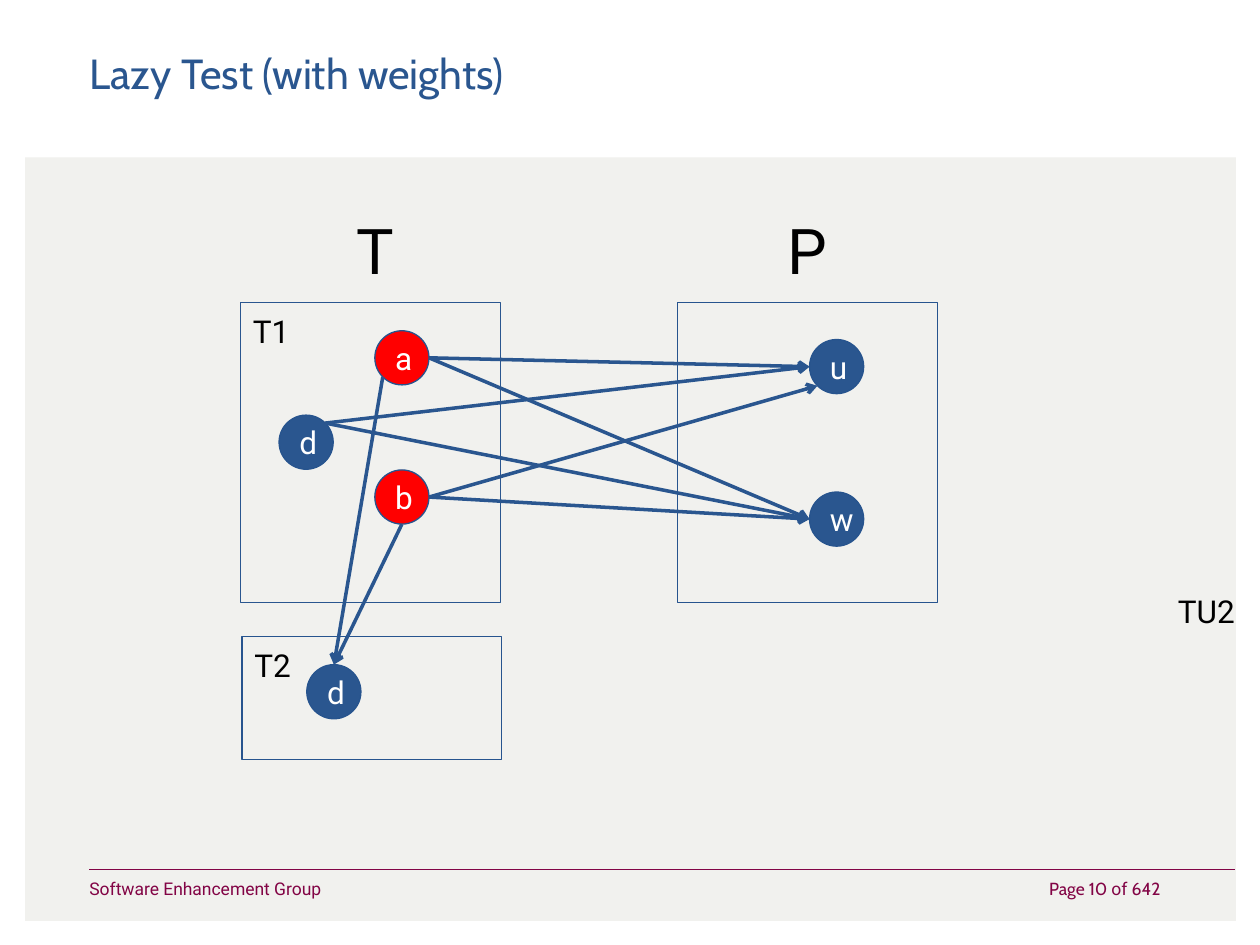
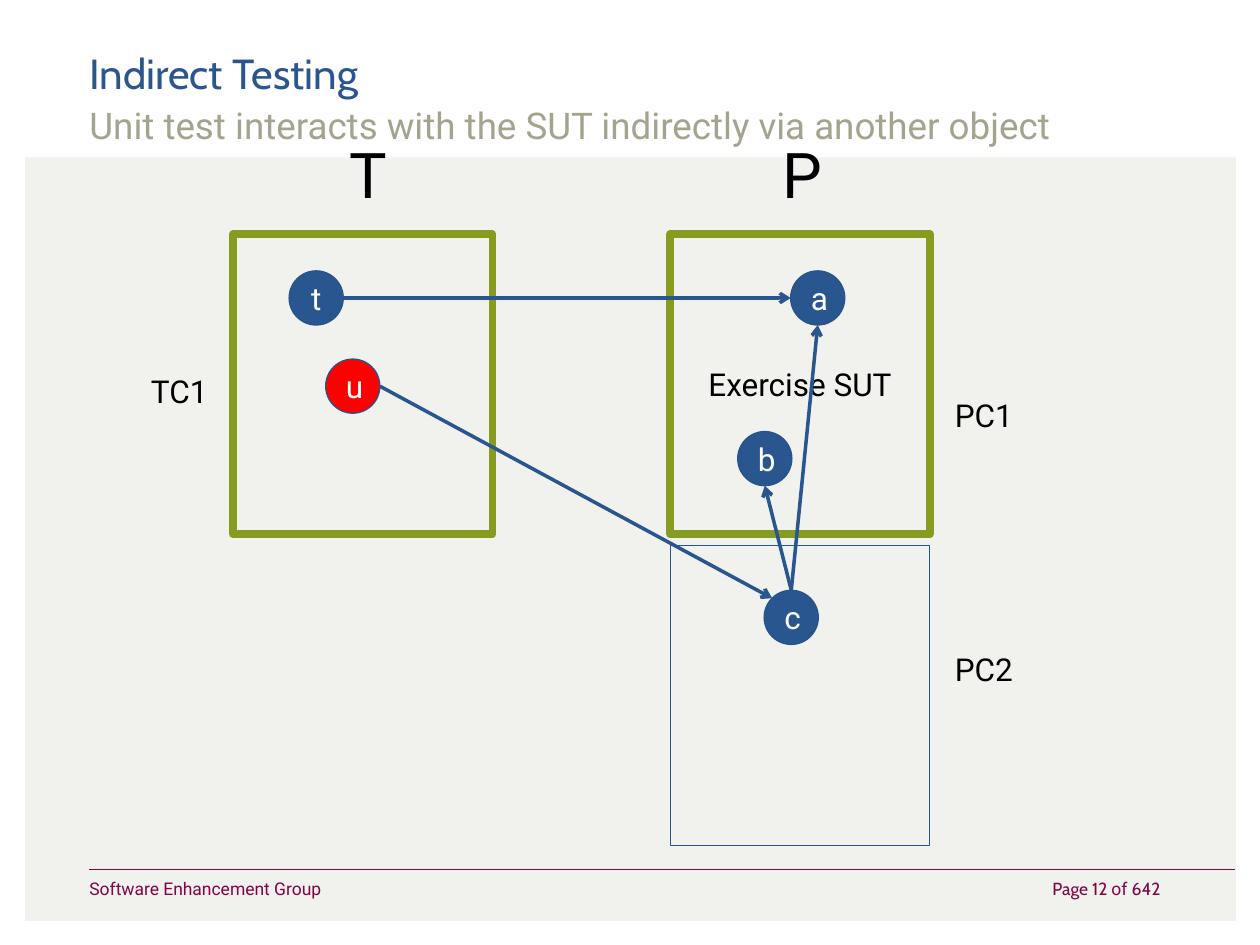
import math

import lxml.etree
import pptx
import pptx.dml.color
import pptx.enum.shapes
import pptx.enum.text
import pptx.oxml.ns
import pptx.util

RGB = pptx.dml.color.RGBColor
SHAPE = pptx.enum.shapes.MSO_SHAPE
ALIGN = pptx.enum.text.PP_ALIGN
ANCHOR = pptx.enum.text.MSO_ANCHOR
Pt = pptx.util.Pt
qn = pptx.oxml.ns.qn

BLUE = RGB(0x2A, 0x56, 0x8F)
EDGE_BLUE = RGB(0x27, 0x54, 0x8E)
RED = RGB(0xFF, 0x00, 0x00)
GREEN = RGB(0x86, 0x9C, 0x21)
MAROON = RGB(0x82, 0x04, 0x45)
TAUPE = RGB(0xA4, 0xA3, 0x8F)
PALE = RGB(0xF1, 0xF1, 0xEE)
WHITE = RGB(0xFF, 0xFF, 0xFF)
BLACK = RGB(0x00, 0x00, 0x00)
HEAD_FONT, BODY_FONT = "Cabin", "Roboto"

prs = pptx.Presentation()
prs.slide_width = pptx.util.Inches(10)
prs.slide_height = pptx.util.Inches(7.5)

# Grid: 100 columns by 75 rows
COL = prs.slide_width / 100
ROW = prs.slide_height / 75
LEFT = 7.1
BOX_W, BOX_H = 20.6, 23.8
DIAMETER = 4.3

# Direction from a circle's centre to the point where an arrow meets it
DIAG = math.sqrt(0.5)
SIDES = {"N": (0, -1), "S": (0, 1), "E": (1, 0), "W": (-1, 0),
         "NE": (DIAG, -DIAG), "NW": (-DIAG, -DIAG), "SW": (-DIAG, DIAG)}


def grid(*cells):
    """Turn alternating columns and rows into lengths."""
    return [round(n * (ROW if i % 2 else COL)) for i, n in enumerate(cells)]


def write(sp, text, size=18, color=BLACK, font=BODY_FONT, align=ALIGN.LEFT,
          anchor=ANCHOR.TOP, inset=True, wrap=True, leading=None):
    """Write a string, or a list of (string, font) runs, into a shape."""
    tf = sp.text_frame
    tf.word_wrap = wrap
    tf.auto_size = pptx.enum.text.MSO_AUTO_SIZE.NONE
    tf.vertical_anchor = anchor
    if not inset:
        tf.margin_left = tf.margin_right = tf.margin_top = tf.margin_bottom = 0
    p = tf.paragraphs[0]
    p.alignment = align
    if leading:
        p.line_spacing = Pt(leading)
    for part, face in [(text, font)] if isinstance(text, str) else text:
        r = p.add_run()
        r.text = part
        r.font.name, r.font.size, r.font.color.rgb = face, Pt(size), color


# boxes: column, row, height, line colour, line width, text
# circles: key -> letter, centre column, centre row, fill
# arrows: from circle, its side, to circle, its side
# labels: column, row, width, text
SLIDES = [
    dict(
        title="Lazy Test (with weights)", subtitle=None, page=10,
        heads=[(22.2, "T"), (56.5, "P")], head_row=16.3,
        boxes=[(19.1, 24, BOX_H, BLUE, 0.25, ""),
               (53.8, 24, BOX_H, EDGE_BLUE, 0.75, ""),
               (19.2, 50.5, 9.8, EDGE_BLUE, 0.75, "")],
        circles={"a": ("a", 31.9, 28.4, RED), "b": ("b", 31.9, 39.45, RED),
                 "u": ("u", 66.4, 29.1, BLUE), "w": ("w", 66.4, 41.2, BLUE),
                 "d1": ("d", 24.3, 35.1, BLUE), "d2": ("d", 26.5, 54.9, BLUE)},
        arrows=[("a", "E", "u", "W"), ("b", "E", "u", "SW"),
                ("b", "E", "w", "W"), ("a", "E", "w", "W"),
                ("b", "S", "d2", "N"), ("a", "SW", "d2", "N"),
                ("d1", "NE", "u", "W"), ("d1", "NE", "w", "W")],
        labels=[(19.1, 24.3, 8.4, "T1"), (19.2, 50.8, 8.4, "T2"),
                (92.5, 46.5, 7.5, "TU2")],
    ),
    dict(
        title="Indirect Testing", page=12,
        subtitle="Unit test interacts with the SUT indirectly via another object",
        heads=[(21.7, "T"), (56.1, "P")], head_row=10.3,
        boxes=[(53.2, 18.6, BOX_H, GREEN, 4.5, "Exercise SUT"),
               (18.5, 18.6, BOX_H, GREEN, 4.5, ""),
               (53.2, 43.3, BOX_H, EDGE_BLUE, 0.75, "")],
        circles={"t": ("t", 25.1, 23.65, BLUE), "u": ("u", 28, 30.65, RED),
                 "a": ("a", 64.9, 23.65, BLUE), "b": ("b", 60.7, 36.4, BLUE),
                 "c": ("c", 62.8, 49, BLUE)},
        arrows=[("t", "E", "a", "W"), ("u", "E", "c", "NW"),
                ("c", "N", "b", "S"), ("c", "N", "a", "S")],
        labels=[(11, 29, 9.3, "TC1"), (74.8, 30.9, 9.3, "PC1"),
                (74.8, 51.1, 9.3, "PC2")],
    ),
]

for d in SLIDES:
    s = prs.slides.add_slide(prs.slide_layouts[5])

    # Title and subtitle
    sp = s.shapes.title
    sp.left, sp.top, sp.width, sp.height = grid(LEFT, 3.9, 66.9, 4.3)
    write(sp, d["title"], size=24, color=BLUE, font=HEAD_FONT, inset=False,
          leading=28)

    # Background band, footer rule and footer texts
    band = s.shapes.add_shape(SHAPE.RECTANGLE, *grid(2, 12.5, 96.1, 60.6))
    band.shadow.inherit = False
    band.fill.solid()
    band.fill.fore_color.rgb = PALE
    band.line.fill.background()
    lines = [(grid(LEFT, 69, 98, 69), MAROON, 0.25, False)]
    sp = s.shapes.add_textbox(*grid(LEFT, 69.7, 18.4, 2.8))
    write(sp, "Software Enhancement Group", size=10, color=MAROON,
          inset=False, wrap=False)
    sp = s.shapes.add_textbox(*grid(72.3, 69.7, 19.8, 2.8))
    write(sp, [(f"Page {d['page']} ", HEAD_FONT), ("of ", BODY_FONT),
               ("642", HEAD_FONT)],
          size=10, color=MAROON, align=ALIGN.RIGHT, inset=False)

    if d["subtitle"]:
        sp = s.shapes.add_textbox(*grid(LEFT, 8.3, 85, 4.3))
        write(sp, d["subtitle"], size=21, color=TAUPE, inset=False, leading=24)

    # Class boxes
    for x, y, h, color, weight, text in d["boxes"]:
        sp = s.shapes.add_shape(SHAPE.RECTANGLE, *grid(x, y, BOX_W, h))
        sp.shadow.inherit = False
        sp.fill.background()
        sp.line.color.rgb, sp.line.width = color, Pt(weight)
        if text:
            write(sp, text, align=ALIGN.CENTER, anchor=ANCHOR.MIDDLE)

    # Method circles
    for letter, x, y, fill in d["circles"].values():
        sp = s.shapes.add_shape(SHAPE.OVAL, *grid(
            x - DIAMETER / 2, y - DIAMETER / 2, DIAMETER, DIAMETER))
        sp.shadow.inherit = False
        sp.fill.solid()
        sp.fill.fore_color.rgb = fill
        sp.line.color.rgb, sp.line.width = EDGE_BLUE, Pt(0.75)
        write(sp, letter, color=WHITE, align=ALIGN.CENTER, anchor=ANCHOR.MIDDLE)

    # Footer rule and call arrows
    for start, start_side, end, end_side in d["arrows"]:
        ends = []
        for key, side in ((start, start_side), (end, end_side)):
            x, y = d["circles"][key][1:3]
            dx, dy = SIDES[side]
            ends += [x + dx * DIAMETER / 2, y + dy * DIAMETER / 2]
        lines.append((grid(*ends), BLUE, 2, True))
    for ends, color, weight, has_head in lines:
        c = s.shapes.add_connector(
            pptx.enum.shapes.MSO_CONNECTOR.STRAIGHT, *ends)
        c.line.color.rgb, c.line.width = color, Pt(weight)
        if has_head:
            ln = c.line._get_or_add_ln()
            lxml.etree.SubElement(ln, qn("a:tailEnd"), type="arrow")
        lxml.etree.SubElement(c._element.spPr, qn("a:effectLst"))

    # Column heads and labels
    for x, text in d["heads"]:
        sp = s.shapes.add_textbox(*grid(x, d["head_row"], 15.1, 7.1))
        write(sp, text, size=36, align=ALIGN.CENTER)
    for x, y, w, text in d["labels"]:
        sp = s.shapes.add_textbox(*grid(x, y, w, 4))
        write(sp, text)

prs.save("out.pptx")
